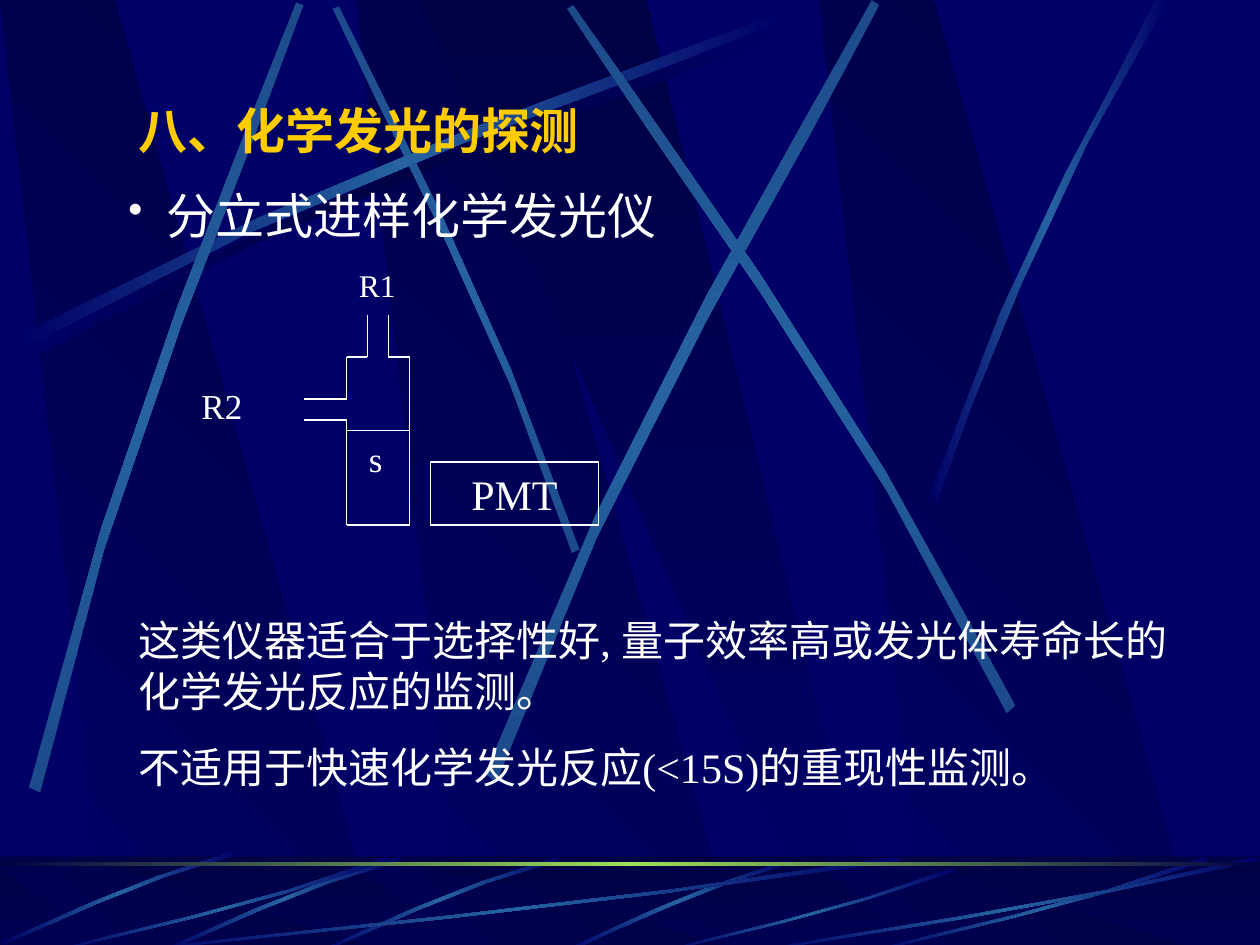
from lxml.etree import SubElement as Sub
from pptx import Presentation
from pptx.dml.color import RGBColor as Rgb
from pptx.enum.shapes import MSO_CONNECTOR as Conn, MSO_SHAPE as Kind
from pptx.enum.text import MSO_ANCHOR as Anchor, MSO_AUTO_SIZE as Auto, PP_ALIGN as Align
from pptx.oxml.ns import qn
from pptx.util import Cm, Pt

HUES = {"navy": "000066", "dark": "000044", "ray": "2663A0", "dim": "1C4A8A",
        "lime": "9CE157", "gold": "FFCC00", "white": "FFFFFF"}
FONT = "Times New Roman"
SHADE = ("dark", "navy")
GLOW = ("navy", "ray", "navy")
BEAM = ("dim", "ray", "dim")

# Each ray: start, two handles, end of one edge, then the same for the other edge.
SWEEP = [(0.14, 2.67), (2.78, 1.25), (5.18, 0.51), (6.2, 0.1),
         (6.23, 0.16), (5.22, 0.61), (2.48, 1.43), (0.17, 2.77)]
BEAMS = [
    [(4.6, 4.36), (3.91, 2.34), (3.02, 0.77), (2.69, 0.05),
     (2.64, 0.07), (2.95, 0.79), (3.98, 2.58), (4.54, 4.39)],
    [(0.23, 6.25), (0.93, 3.34), (1.97, 1.05), (2.35, 0.02),
     (2.41, 0.04), (2.07, 1.08), (0.86, 3.68), (0.32, 6.29)],
    [(3.85, 6.14), (4.98, 3.2), (6.38, 1.02), (6.92, 0),
     (6.98, 0.04), (6.49, 1.08), (4.86, 3.55), (3.94, 6.21)],
    [(8.06, 5.6), (6.7, 2.93), (5.16, 0.95), (4.55, 0.04),
     (4.5, 0.07), (5.07, 1.01), (6.85, 3.25), (7.99, 5.66)]]
EDGE = [(7.38, 3.93), (8.14, 1.73), (8.88, 0.66), (9.17, 0),
        (9.27, 0), (8.36, 1.45), (7.69, 3.22), (7.44, 3.97)]
ROOT = [(6.27, 6.82), (5.37, 7.09), (4.77, 7.42), (4.48, 7.54),
        (4.53, 7.55), (4.9, 7.37), (5.71, 7), (6.28, 6.85)]
TWIG = [(4.42, 6.8), (3.55, 7.05), (2.87, 7.4), (2.56, 7.53),
        (2.57, 7.55), (2.88, 7.43), (3.65, 7.03), (4.44, 6.83)]
FAN = [(1, 0.04), (0.57, 0.57), (0.17, 0.85), (0.01, 1),
       (0, 0.99), (0.17, 0.81), (0.62, 0.51), (0.99, 0)]
FANS = [(1, 6.8, 6.17, 0.75), (0.42, 6.8, 2.67, 0.75), (5.27, 6.89, 2.31, 0.66),
        (6.92, 6.8, 2.67, 0.75), (6, 6.8, 4, 0.75)]
PANEL = [(0.86, 1), (3.02, 1), (0.91, 0), (0, 0)]
WEDGE = [(3.33, 0), (6.58, 1), (6.94, 1), (5.13, 0)]

# The flask and detector sit on a grid of one sixth of an inch.
CELL = 1 / 6
FLASK = [[(17.5, 15), (17.5, 17), (16.5, 17), (16.5, 19), (14.5, 19)],
         [(18.5, 15), (18.5, 17), (19.5, 17), (19.5, 25), (16.5, 25),
          (16.5, 20), (14.5, 20)],
         [(16.5, 20), (16.5, 20)]]
LEVEL = [(19.5, 20.5), (16.5, 20.5)]
TUBE = (20.5, 22, 8, 3)


def size(*vals):
    """Turn inches into lengths."""
    return [Cm(v * 2.54) for v in vals]


def grid(*vals):
    """Turn grid cells into lengths."""
    return size(*(v * CELL for v in vals))


def hue(name):
    """Look up a colour."""
    return Rgb.from_string(HUES[name])


def move(pts, x=0, y=0, w=1, h=1):
    """Scale, then shift points."""
    return [(x + px * w, y + py * h) for px, py in pts]


def curve(pts, steps=4):
    """Sample a cubic curve."""
    out = []
    for n in range(steps + 1):
        t = n / steps
        mix = ((1 - t) ** 3, 3 * t * (1 - t) ** 2, 3 * t * t * (1 - t), t ** 3)
        out.append(tuple(sum(k * p[i] for k, p in zip(mix, pts)) for i in (0, 1)))
    return out


def blend(shape, names, angle):
    """Fill a shape with an even gradient."""
    shape.fill.gradient()
    grad = shape.element.spPr.find(qn("a:gradFill"))
    stops = grad.find(qn("a:gsLst"))
    for old in list(stops):
        stops.remove(old)
    for n, name in enumerate(names):
        stop = Sub(stops, qn("a:gs"), pos=str(100000 * n // (len(names) - 1)))
        Sub(stop, qn("a:srgbClr"), val=HUES[name])
    grad.find(qn("a:lin")).set("ang", str(angle * 60000))


def back(slide, shape):
    """Put a plain shape on the slide master."""
    shape.shadow.inherit = False
    shape.line.fill.background()
    tree = slide.slide_layout.slide_master.shapes.element
    shape.element.xpath(".//p:cNvPr")[0].set("id", str(100 + len(tree)))
    tree.append(shape.element)


def poly(slide, pts, names, angle):
    """Add a gradient outline to the backdrop."""
    pts = [size(*p) for p in pts]
    build = slide.shapes.build_freeform(*pts[0], scale=1.0)
    build.add_line_segments(pts[1:], close=True)
    shape = build.convert_to_shape()
    blend(shape, names, angle)
    back(slide, shape)


def ray(slide, pts, names=GLOW, angle=0):
    """Add a curved ray to the backdrop."""
    poly(slide, curve(pts[:4]) + curve(pts[4:]), names, angle)


def bar(slide, box, names, angle=0):
    """Add a gradient bar to the backdrop."""
    shape = slide.shapes.add_shape(Kind.RECTANGLE, *size(*box))
    blend(shape, names, angle)
    back(slide, shape)


def veil(slide, box):
    """Add a half clear dark bar."""
    shape = slide.shapes.add_shape(Kind.RECTANGLE, *size(*box))
    shape.fill.solid()
    shape.fill.fore_color.rgb = hue("dark")
    color = shape.element.spPr.find(qn("a:solidFill"))[0]
    Sub(color, qn("a:alpha"), val="50000")
    back(slide, shape)


def panels(slide, top, high):
    """Add the slanted dark panels."""
    for left in (2.83, 0, 6.5):
        poly(slide, move(PANEL, left, top, 1, high), SHADE, 135)
    poly(slide, move(WEDGE, 0, top, 1, high), SHADE, 90)


def scene(slide):
    """Draw the whole backdrop."""
    panels(slide, 0, 7.52)
    ray(slide, move(SWEEP, 0.06, 0.08), ("navy", "dark", "navy"))
    ray(slide, BEAMS[0], BEAM, 90)
    ray(slide, SWEEP)
    for pts in BEAMS[1:]:
        ray(slide, pts, BEAM, 90)
    ray(slide, EDGE)
    bar(slide, (0, 6.8, 10, 0.75), SHADE, 90)
    panels(slide, 6.88, 0.66)
    veil(slide, (0, 6.79, 10, 0.75))
    ray(slide, ROOT)
    for x, y in ((0, 0), (-1.25, 0), (-2.55, -0.05)):
        ray(slide, move(TWIG, x, y))
    for box in FANS:
        ray(slide, move(FAN, *box))
    bar(slide, (0, 6.84, 10, 0.03), ("dark", "lime", "dark"))


def style(run, pts, name="white", bold=False):
    """Format a run."""
    font = run.font
    font.name, font.size, font.bold = FONT, Pt(pts), bold
    font.color.rgb = hue(name)


def write(shape, lines, pts, name="white", bold=False, align=Align.LEFT, gap=0):
    """Set and format text."""
    frame = shape.text_frame
    frame.text = "\n".join(lines)
    frame.word_wrap = True
    frame.auto_size = Auto.NONE
    for n, para in enumerate(frame.paragraphs):
        para.alignment = align
        para.space_before = Pt(gap if n else 0)
        for run in para.runs:
            style(run, pts, name, bold)


def label(slide, box, lines, pts, gap=0):
    """Add a text box."""
    shape = slide.shapes.add_textbox(*size(*box))
    write(shape, lines, pts, gap=gap)
    return shape


def bullet(para, inch):
    """Give a paragraph a hanging bullet."""
    props = para._p.get_or_add_pPr()
    dent = size(inch)[0]
    props.set("marL", str(dent))
    props.set("indent", str(-dent))
    Sub(Sub(props, qn("a:buClr")), qn("a:srgbClr"), val=HUES["white"])
    Sub(props, qn("a:buChar"), char="•")


def topic(slide, box, text):
    """Add the bulleted heading with its slanted lead."""
    para = label(slide, box, [" "], 24).text_frame.paragraphs[0]
    para.runs[0].font.italic = True
    run = para.add_run()
    run.text = text
    style(run, 28)
    bullet(para, 0.23)


def line(shapes, start, end):
    """Add a thin white line."""
    edge = shapes.add_connector(Conn.STRAIGHT, *grid(*start, *end))
    edge.line.color.rgb = hue("white")
    edge.line.width = Pt(0.74)
    Sub(edge.element.spPr, qn("a:effectLst"))


def device(slide):
    """Draw the flask and its detector."""
    group = slide.shapes.add_group_shape()
    for pts in FLASK:
        for start, end in zip(pts, pts[1:]):
            line(group.shapes, start, end)
    tube = group.shapes.add_shape(Kind.RECTANGLE, *grid(*TUBE))
    tube.shadow.inherit = False
    tube.fill.background()
    tube.line.color.rgb = hue("white")
    tube.line.width = Pt(0.74)
    write(tube, ["PMT"], 24, align=Align.CENTER)
    tube.text_frame.vertical_anchor = Anchor.MIDDLE
    label(slide, (2.75, 2.06, 0.58, 0.4), ["R1"], 18)
    label(slide, (1.5, 3, 0.75, 0.44), ["R2"], 20)
    label(slide, (2.83, 3.42, 0.42, 0.44), ["s"], 20)
    line(slide.shapes, *LEVEL)


def main():
    """Build and save the slide."""
    deck = Presentation()
    deck.slide_width, deck.slide_height = size(10, 7.5)
    slide = deck.slides.add_slide(deck.slide_layouts[5])
    fill = slide.slide_layout.slide_master.background.fill
    fill.solid()
    fill.fore_color.rgb = hue("navy")
    scene(slide)
    title = slide.shapes.title
    title.left, title.top, title.width, title.height = size(1, 0.75, 8.33, 0.57)
    write(title, ["八、化学发光的探测"], 28, "gold", True)
    title.text_frame.vertical_anchor = Anchor.TOP
    topic(slide, (0.92, 1.42, 8.67, 0.57), "分立式进样化学发光仪")
    device(slide)
    label(slide, (1, 4.83, 8.5, 1.51),
          ["这类仪器适合于选择性好, 量子效率高或发光体寿命长的化学发光反应的监测。",
           "不适用于快速化学发光反应(<15S)的重现性监测。"], 24, gap=15)
    deck.save("out.pptx")


main()
